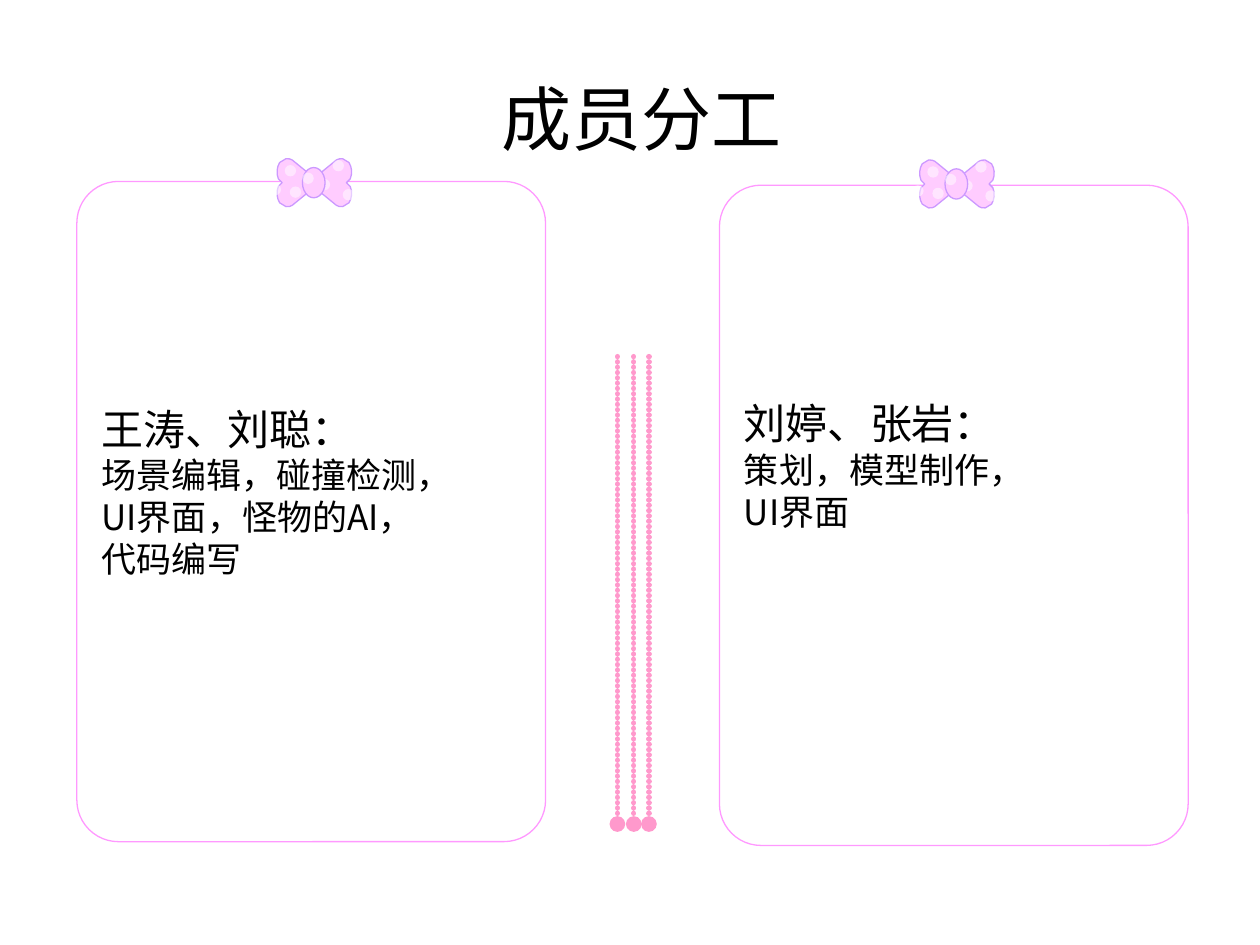
import lxml.etree
import pptx
import pptx.dml.color
import pptx.enum.shapes
import pptx.enum.text
import pptx.oxml.ns
import pptx.util

Inches = pptx.util.Inches
Pt = pptx.util.Pt
qn = pptx.oxml.ns.qn
SHAPE = pptx.enum.shapes.MSO_SHAPE
ANCHOR = pptx.enum.text.MSO_ANCHOR
FONT = "Noto Sans CJK SC"


def paint(s, fill, line=None, alpha=None):
    s.shadow.inherit = False
    s.fill.solid()
    s.fill.fore_color.rgb = pptx.dml.color.RGBColor.from_string(fill)
    if alpha:
        color = s.fill._xPr.find(qn("a:solidFill"))[0]
        lxml.etree.SubElement(color, qn("a:alpha"), val=str(alpha * 1000))
    if line:
        s.line.color.rgb = pptx.dml.color.RGBColor.from_string(line)
        s.line.width = Pt(0.75)
    else:
        s.line.fill.background()


def write(tf, text, size=20, color="000000"):
    """Add one left-aligned paragraph, filling the empty first one."""
    p = tf.add_paragraph() if tf.text else tf.paragraphs[0]
    p.alignment = pptx.enum.text.PP_ALIGN.LEFT
    r = p.add_run()
    r.text = text
    r.font.size = Pt(size)
    r.font.color.rgb = pptx.dml.color.RGBColor.from_string(color)
    r.font.name = FONT
    lxml.etree.SubElement(r._r.get_or_add_rPr(), qn("a:ea"), typeface=FONT)


prs = pptx.Presentation()
prs.slide_width, prs.slide_height = Inches(10), Inches(7.5)
slide = prs.slides.add_slide(prs.slide_layouts[5])

# Title
title = slide.shapes.title
title.left, title.top = Inches(3.88), Inches(0.55)
title.width, title.height = Inches(3.31), Inches(0.77)
title.text_frame.vertical_anchor = ANCHOR.TOP
title.text_frame.word_wrap = True
write(title.text_frame, "成员分工", size=40)

# Cards: left, top, bottom inset that lifts the text, names, duties
cards = [
    (5.71, 1.47, 0.85, "刘婷、张岩：", ["策划，模型制作，", "UI界面"]),
    (0.61, 1.44, 0.37, "王涛、刘聪：",
     ["场景编辑，碰撞检测，", "UI界面，怪物的AI，", "代码编写"]),
]
for left, top, inset, names, duties in cards:
    s = slide.shapes.add_shape(SHAPE.ROUNDED_RECTANGLE, Inches(left), Inches(top),
                               Inches(3.72), Inches(5.24))
    s.adjustments[0] = 0.33 / 3.72
    paint(s, "FFFFFF", line="FF99FF")
    tf = s.text_frame
    tf.word_wrap = True
    tf.vertical_anchor = ANCHOR.MIDDLE
    tf.margin_bottom = Inches(inset)
    write(tf, names, size=24)
    for duty in duties:
        write(tf, duty)

# Beaded strings between the cards: round dots that touch
for x in (4.9, 5.03, 5.15):
    s = slide.shapes.add_connector(pptx.enum.shapes.MSO_CONNECTOR.STRAIGHT,
                                   Inches(x), Inches(2.83), Inches(x), Inches(6.54))
    s.line.color.rgb = pptx.dml.color.RGBColor.from_string("FF99CC")
    s.line.width = Pt(3)
    ln = s.line._get_or_add_ln()
    ln.set("cap", "rnd")
    dash = lxml.etree.SubElement(ln, qn("a:custDash"))
    lxml.etree.SubElement(dash, qn("a:ds"), d="100000", sp="1000")
    lxml.etree.SubElement(ln, qn("a:round"))
    lxml.etree.SubElement(ln, qn("a:tailEnd"), type="oval")
    lxml.etree.SubElement(s._element.spPr, qn("a:effectLst"))

# Upper edge of a bow wing as joined Bezier curves around the bow centre
edge = [
    (0.26, 0), (0.27, -0.01), (0.28, -0.02), (0.29, -0.03),
    (0.3, -0.05), (0.3, -0.07), (0.3, -0.1),
    (0.3, -0.12), (0.29, -0.14), (0.28, -0.16),
    (0.26, -0.17), (0.25, -0.18), (0.23, -0.19),
    (0.21, -0.19), (0.19, -0.19), (0.18, -0.18),
]
tip = (-0.04, 0)
lower = [(x, -y) for x, y in reversed(edge)]
# Straight sides meet at the tip, with controls on their end points
wing = edge + [edge[-1], tip, tip, tip, lower[0]] + lower

# Ovals on the wings: left and top from the bow centre, width, height
DOT = (0.09, 0.09)
KNOT = (0.18, 0.24)
ovals = [
    (0.04, -0.03, DOT), (-0.23, -0.14, DOT), (-0.19, 0.03, DOT),
    (0.15, -0.18, DOT), (0.23, 0.05, DOT), (-0.09, -0.12, KNOT),
    (-0.35, 0.01, DOT), (-0.09, -0.08, DOT),
]
for cx, cy in ((2.49, 1.45), (7.59, 1.46)):
    bow = slide.shapes.add_group_shape()
    for side, shift in ((1, 0), (-1, 0.01)):
        points = [(Inches(cx + shift + side * x), Inches(cy + y)) for x, y in wing]
        fb = bow.shapes.build_freeform(*points[0])
        fb.add_line_segments(points[3::3], close=True)
        s = fb.convert_to_shape()
        # Turn each straight segment into a curve by adding its two controls
        for i, segment in enumerate(list(s._element.iter(qn("a:lnTo")))):
            if points[3 * i] == points[3 * i + 1]:
                continue
            segment.tag = qn("a:cubicBezTo")
            for n, (x, y) in enumerate(points[3 * i + 1:3 * i + 3]):
                pt = lxml.etree.Element(qn("a:pt"), x=str(x - s.left), y=str(y - s.top))
                segment.insert(n, pt)
        paint(s, "FFCCFF", line="CC99FF")
    for dx, dy, size in ovals:
        s = bow.shapes.add_shape(SHAPE.OVAL, Inches(cx + dx), Inches(cy + dy),
                                 Inches(size[0]), Inches(size[1]))
        if size == KNOT:
            paint(s, "FFCCFF", line="CC99FF")
        else:
            paint(s, "FFFFFF", alpha=50)

prs.save("out.pptx")
